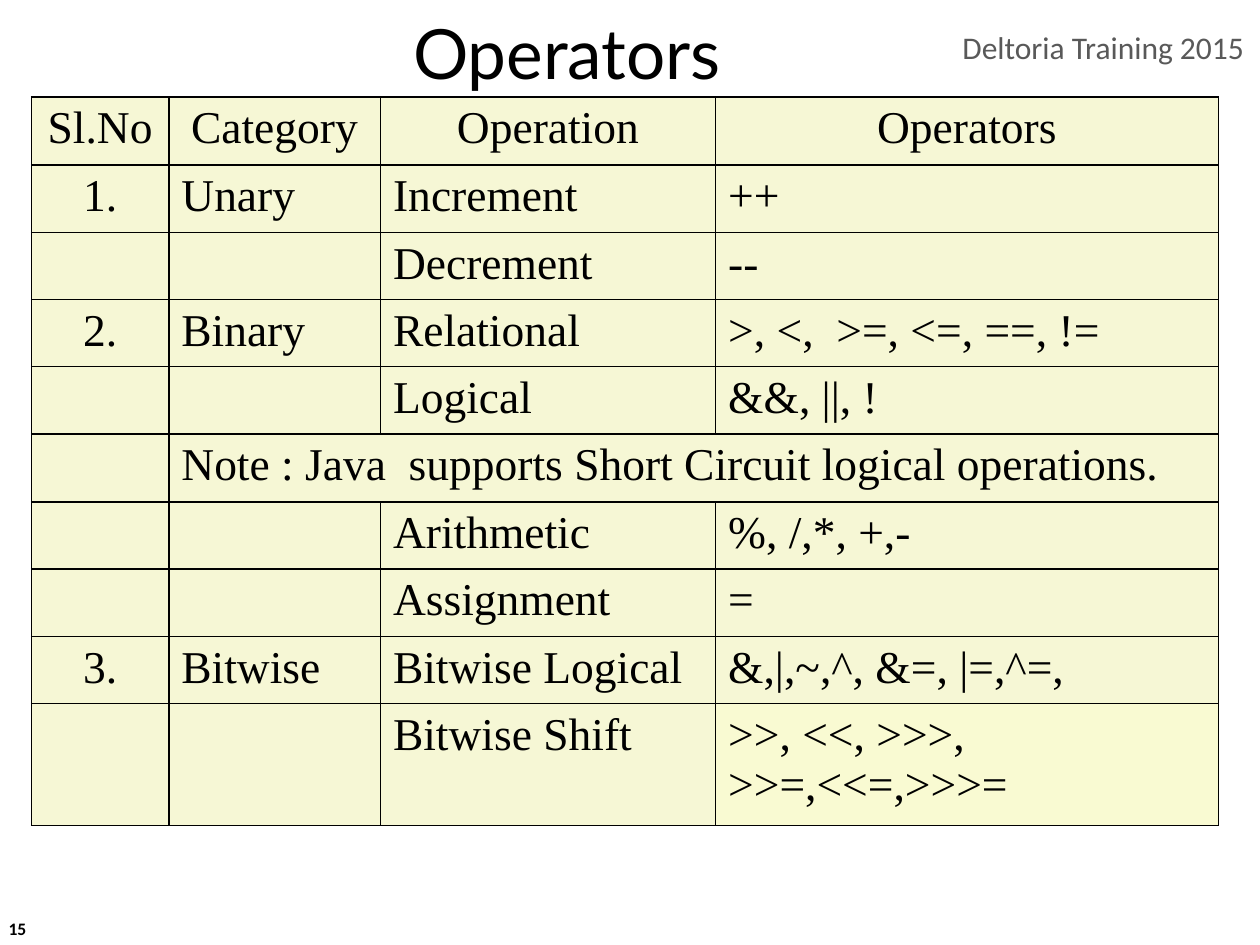
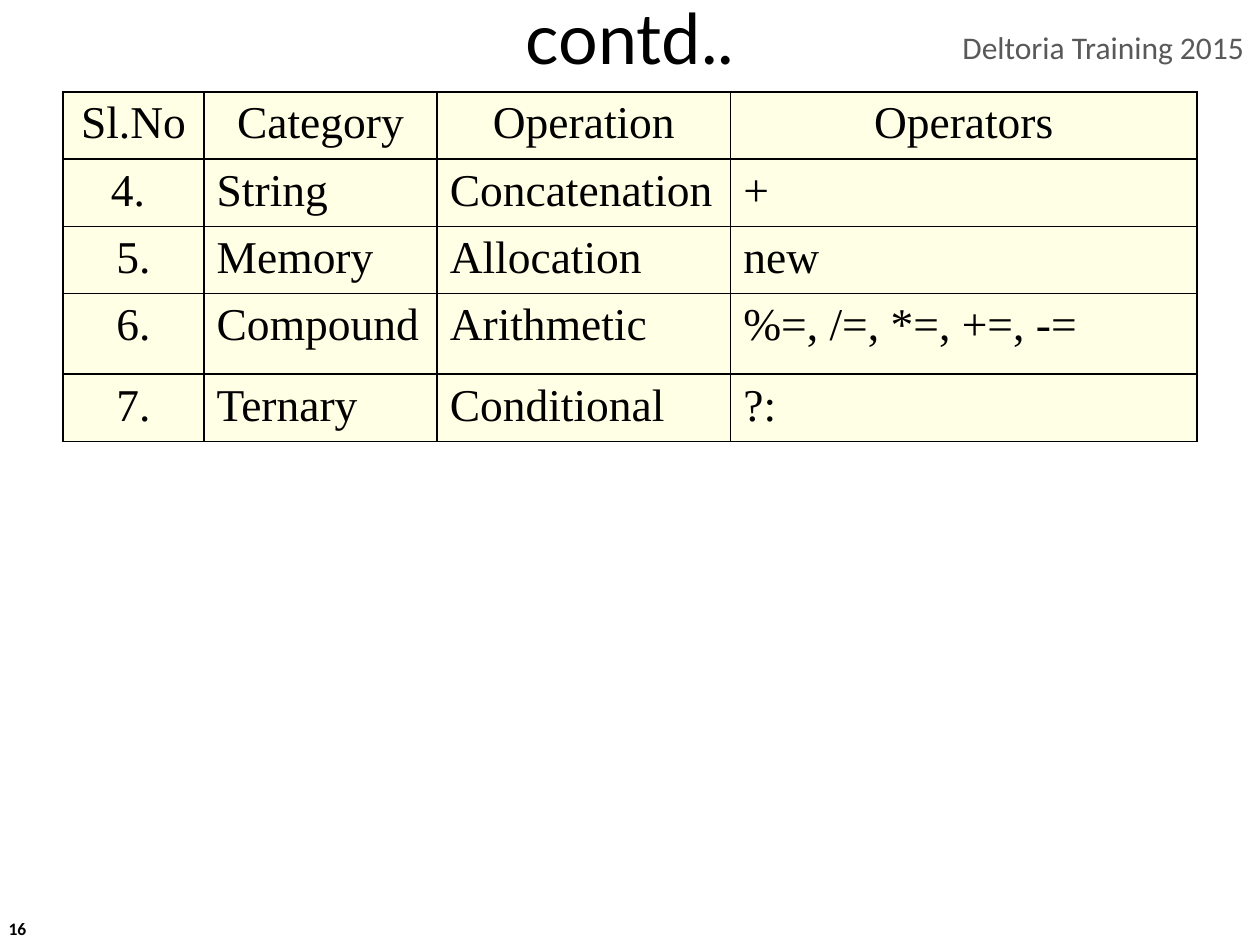
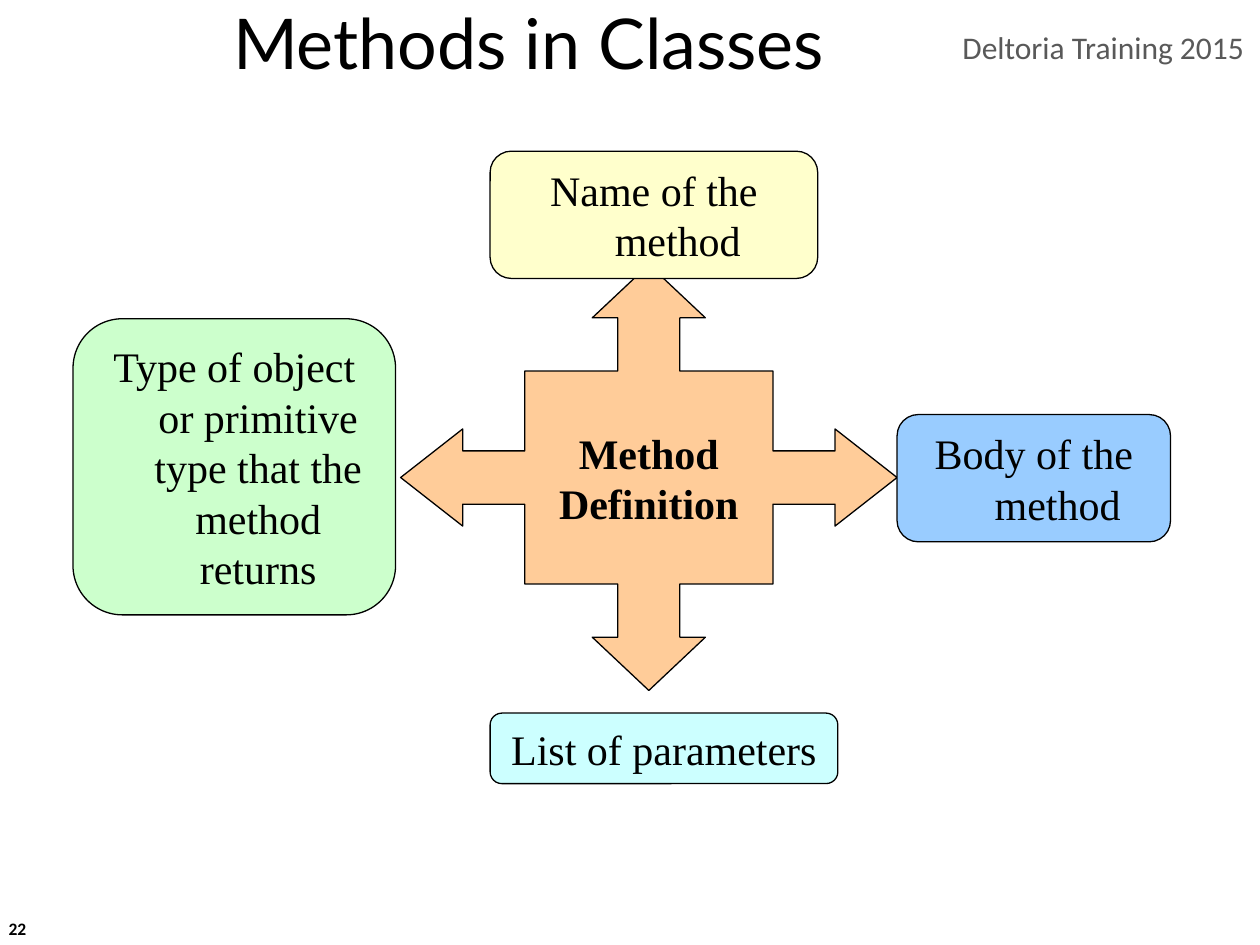
from lxml import etree
from pptx import Presentation
from pptx.dml.color import RGBColor
from pptx.enum.shapes import MSO_SHAPE
from pptx.enum.text import MSO_ANCHOR, PP_ALIGN
from pptx.oxml import parse_xml
from pptx.oxml.ns import nsdecls, qn
from pptx.util import Inches, Pt

LEFT, CENTER = PP_ALIGN.LEFT, PP_ALIGN.CENTER
MIDDLE = MSO_ANCHOR.MIDDLE
ROUNDED = MSO_SHAPE.ROUNDED_RECTANGLE

BLACK = RGBColor(0x00, 0x00, 0x00)
GRAY = RGBColor(0x59, 0x59, 0x59)
OLIVE = RGBColor(0xEF, 0xF1, 0xAD)
LEMON = RGBColor(0xF5, 0xF7, 0xA7)
CREAM = RGBColor(0xFF, 0xFF, 0xCC)
ORANGE = RGBColor(0xFF, 0xCC, 0x99)
AQUA = RGBColor(0xCC, 0xFF, 0xFF)
BLUE = RGBColor(0x99, 0xCC, 0xFF)
GREEN = RGBColor(0xCC, 0xFF, 0xCC)

SERIF = "Times New Roman"
HEADER = "Deltoria Training 2015"
COLUMNS = ["Sl.No", "Category", "Operation", "Operators"]
NOTE = "Note : Java  supports Short Circuit logical operations."

OPERATORS = [
    COLUMNS,
    ["1.", "Unary", "Increment", "++"],
    ["", "", "Decrement", "--"],
    ["2.", "Binary", "Relational", ">, <,  >=, <=, ==, !="],
    ["", "", "Logical", "&&, ||, !"],
    ["", NOTE, "", ""],
    ["", "", "Arithmetic", "%, /,*, +,-"],
    ["", "", "Assignment", "="],
    ["3.", "Bitwise", "Bitwise Logical", "&,|,~,^, &=, |=,^=,"],
    ["", "", "Bitwise Shift", ">>, <<, >>>, >>=,<<=,>>>="],
]
MORE_OPERATORS = [
    COLUMNS,
    ["4. ", "String", "Concatenation", "+"],
    ["5.", "Memory", "Allocation", "new"],
    ["6.", "Compound", "Arithmetic", "%=, /=, *=, +=, -="],
    ["7.", "Ternary", "Conditional", "?:"],
]

SLIDES = [
    ("15", "Operators", 39.6, (0, 0.08, 9, 0.67)),
    ("16", "contd..", 40, (0, 0.08, 10, 0.42)),
    ("22", "Methods in Classes", 40, (0.06, 0.08, 8.27, 0.5)),
]
TABLES = [
    (OPERATORS, 0.25, 0.77, [1.09, 1.68, 2.66, 3.99],
     [0.54] + [0.52] * 4 + [0.54] + [0.52] * 3 + [0.77], OLIVE, 50),
    (MORE_OPERATORS, 0.5, 0.73, [1.12, 1.85, 2.33, 3.7],
     [0.47] * 3 + [0.64, 0.47], CREAM, 48),
]
PARTS = [
    ("Name of the method", CREAM, (3.89, 1.2, 2.6, 1.01)),
    ("List of parameters", AQUA, (3.89, 5.66, 2.76, 0.56)),
    ("Body of the method", BLUE, (7.12, 3.29, 2.17, 1.01)),
    ("Type of object or primitive type that the method returns", GREEN,
     (0.58, 2.53, 2.56, 2.35)),
]


def write(tf, text, size, font, color=BLACK, bold=False, align=LEFT, hang=0):
    tf.text = text
    for p in tf.paragraphs:
        p.alignment = align
        p.font.size, p.font.name, p.font.bold = Pt(size), font, bold
        p.font.color.rgb = color
        if hang:
            pPr = p._p.get_or_add_pPr()
            pPr.set("marL", str(Inches(hang)))
            pPr.set("indent", str(-Inches(hang)))


def style_part(sp, text, color, bold=False):
    sp.shadow.inherit = False
    sp.fill.solid()
    sp.fill.fore_color.rgb = color
    sp.line.color.rgb = BLACK
    sp.line.width = Pt(0.75)
    tf = sp.text_frame
    tf.word_wrap = True
    tf.vertical_anchor = MIDDLE
    write(tf, text, 24, SERIF, bold=bold, align=CENTER, hang=0.38)


prs = Presentation()
prs.slide_width, prs.slide_height = Inches(10), Inches(7.5)

for number, title, title_size, title_box in SLIDES:
    s = prs.slides.add_slide(prs.slide_layouts[6])
    for text, box, size, font, color, bold, align, wrap, anchor in [
        (number, (-0.03, 7.17, 2.33, 0.4), 10, "Calibri", BLACK, True, LEFT, True, MIDDLE),
        (HEADER, (7.54, 0.17, 2.46, 0.4), 18, "Calibri", GRAY, False, LEFT, False, MSO_ANCHOR.TOP),
        (title, title_box, title_size, "Lato", BLACK, False, CENTER, True, MIDDLE),
    ]:
        tf = s.shapes.add_textbox(*map(Inches, box)).text_frame
        tf.word_wrap = wrap
        tf.vertical_anchor = anchor
        write(tf, text, size, font, color, bold, align)

for s, (rows, left, top, widths, heights, color, alpha) in zip(prs.slides, TABLES):
    table = s.shapes.add_table(
        len(rows), len(widths), Inches(left), Inches(top),
        Inches(sum(widths)), Inches(sum(heights))).table
    for column, width in zip(table.columns, widths):
        column.width = Inches(width)
    for i, row in enumerate(rows):
        table.rows[i].height = Inches(heights[i])
        for j, text in enumerate(row):
            cell = table.cell(i, j)
            centered = i == 0 or j == 0
            write(cell.text_frame, text, 26, SERIF, align=CENTER if centered else LEFT)
            tcPr = cell._tc.get_or_add_tcPr()
            for side in "LRTB":
                tcPr.append(parse_xml(
                    f'<a:ln{side} {nsdecls("a")} w="{Pt(1)}"><a:solidFill>'
                    f'<a:srgbClr val="{BLACK}"/></a:solidFill></a:ln{side}>'))
            cell.fill.solid()
            last = rows is OPERATORS and i == len(rows) - 1 and j == len(row) - 1
            cell.fill.fore_color.rgb = LEMON if last else color
            clr = tcPr.find(qn("a:solidFill")).find(qn("a:srgbClr"))
            etree.SubElement(clr, qn("a:alpha")).set("val", str(alpha * 1000))
        if NOTE in row:
            table.cell(i, 1).merge(table.cell(i, 3))

s = prs.slides[2]
center_x, center_y, arrow_w, arrow_h = 5.15, 3.79, 3.94, 3.38
arm = [(-0.25, -0.25), (-0.0625, -0.25), (-0.0625, -0.375), (-0.114, -0.375),
       (0, -0.5), (0.114, -0.375), (0.0625, -0.375), (0.0625, -0.25)]
outline = []
for turn in range(4):
    outline += arm
    arm = [(-y, x) for x, y in arm]
points = [(Inches(center_x + x * arrow_w), Inches(center_y + y * arrow_h))
          for x, y in outline]
fb = s.shapes.build_freeform(*points[0])
fb.add_line_segments(points[1:], close=True)
style_part(fb.convert_to_shape(), "Method\nDefinition", ORANGE, bold=True)

for text, color, box in PARTS:
    sp = s.shapes.add_shape(ROUNDED, *map(Inches, box))
    style_part(sp, text, color)

prs.save("out.pptx")
